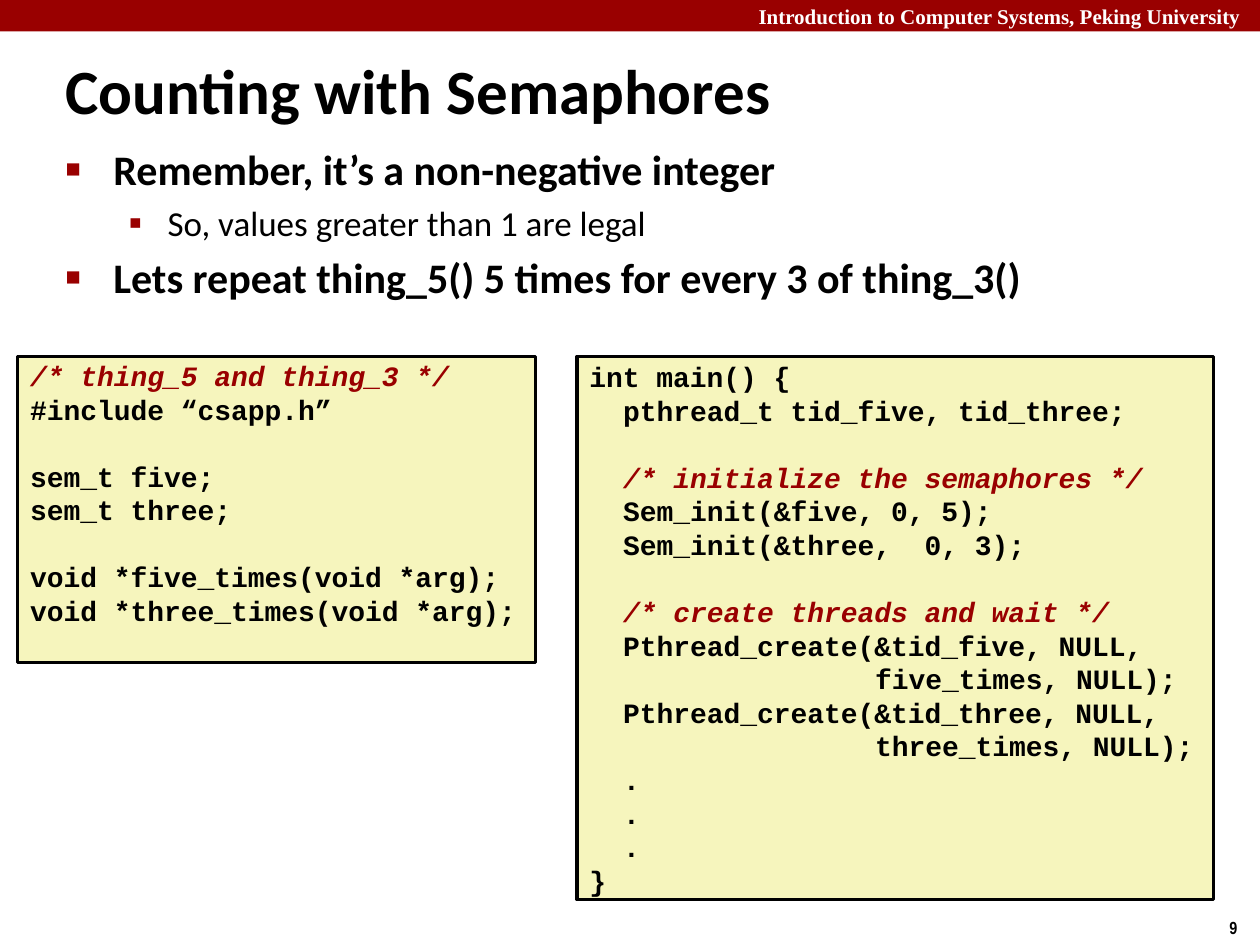
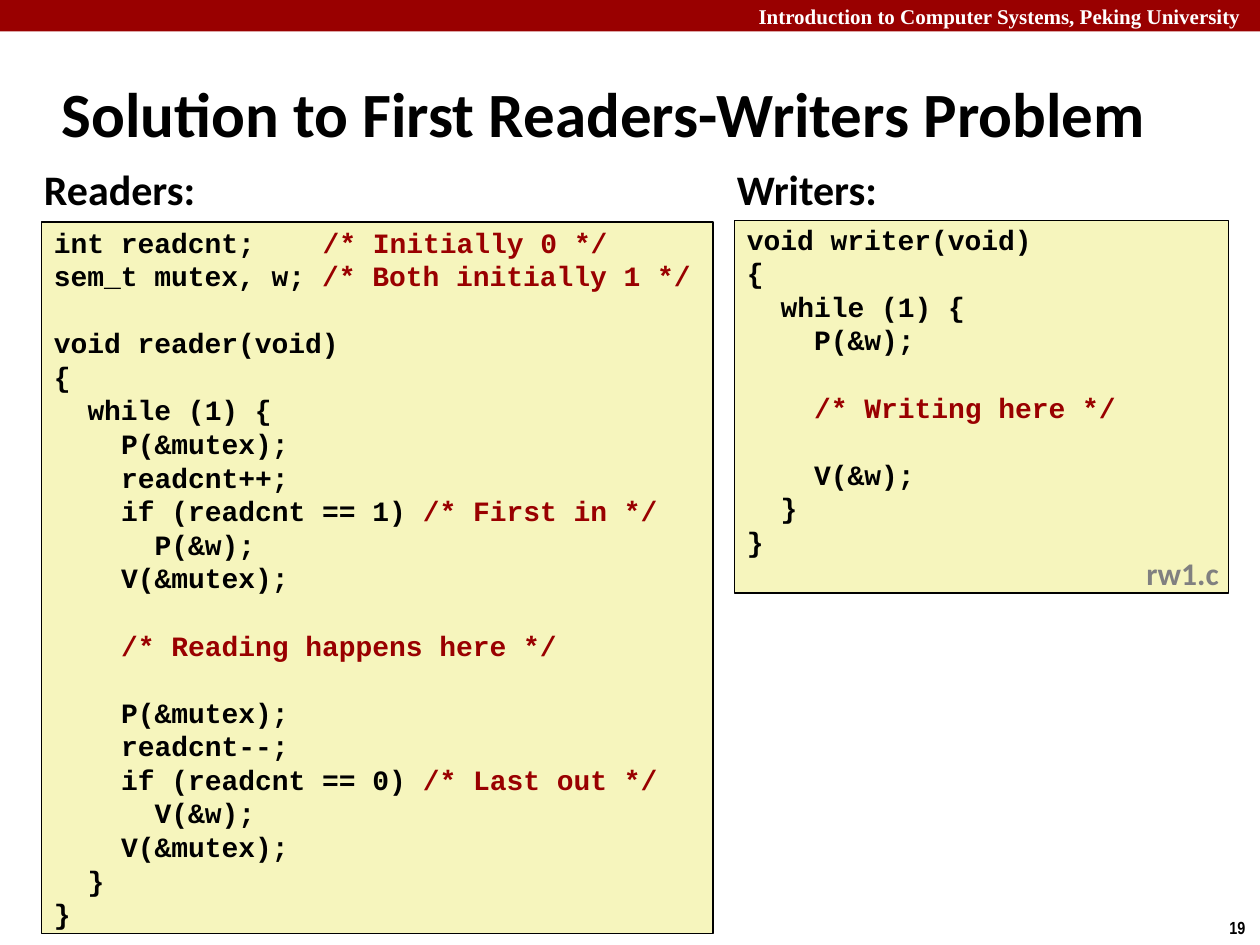
from dataclasses import dataclass

from lxml import etree
from pptx import Presentation
from pptx.dml.color import RGBColor
from pptx.enum.shapes import MSO_SHAPE
from pptx.enum.text import MSO_ANCHOR, MSO_AUTO_SIZE, PP_ALIGN
from pptx.oxml.ns import qn
from pptx.util import Emu, Inches, Pt

RECTANGLE = MSO_SHAPE.RECTANGLE
MIDDLE, TOP = MSO_ANCHOR.MIDDLE, MSO_ANCHOR.TOP
LEFT = PP_ALIGN.LEFT
NO_AUTOFIT = MSO_AUTO_SIZE.NONE

# Colours
CRIMSON = RGBColor(0x99, 0x00, 0x00)
CREAM = RGBColor(0xF6, 0xF5, 0xBD)
BLACK = RGBColor(0x00, 0x00, 0x00)
WHITE = RGBColor(0xFF, 0xFF, 0xFF)
GRAY = RGBColor(0x80, 0x80, 0x80)

# Slide grid: 100 columns by 75 rows
WIDTH, HEIGHT = Inches(10), Inches(7.5)
COLUMN, ROW = WIDTH / 100, HEIGHT / 75

# Code metrics
CODE_SIZE = 16
CODE_CHAR = Pt(CODE_SIZE * 0.6)
CODE_LINE = Pt(CODE_SIZE * 1.2)
TAB = chr(9)

# Text formats
TITLE = {"name": "Calibri", "size": Pt(36), "bold": True}
POINT = {"name": "Calibri", "size": Pt(24), "bold": True}
SUBPOINT = {"name": "Calibri", "size": Pt(20), "bold": False}
FILE_LABEL = {"name": "Calibri", "size": Pt(18), "bold": True}
COURSE = {"name": "Times New Roman", "size": Pt(12), "bold": True}
PAGE = {"name": "Arial Narrow", "size": Pt(10), "bold": True}
CODE = {"name": "Courier New", "size": Pt(CODE_SIZE), "bold": True}


@dataclass(frozen=True)
class Area:
    """A place on the grid, in columns and rows."""
    left: float
    top: float
    width: float
    height: float

    def emu(self) -> tuple[Emu, Emu, Emu, Emu]:
        return (Emu(round(self.left * COLUMN)), Emu(round(self.top * ROW)),
                Emu(round(self.width * COLUMN)), Emu(round(self.height * ROW)))


@dataclass(frozen=True)
class Listing:
    area: Area
    code: str
    border: float
    italic_comments: bool = False


@dataclass(frozen=True)
class Label:
    text: str
    area: Area
    style: dict
    color: RGBColor = BLACK


@dataclass(frozen=True)
class Bullet:
    char: str
    size: int
    margin: float
    hanging: float
    style: dict


BULLETS = (Bullet("■", 60, 0.38, 0.38, POINT), Bullet("▪", 110, 0.81, 0.31, SUBPOINT))


def set_format(target, values: dict) -> None:
    for key, value in values.items():
        setattr(target, key, value)


def add_run(paragraph, text: str, style: dict, color: RGBColor = BLACK):
    run = paragraph.add_run()
    run.text = text
    set_format(run.font, style)
    run.font.color.rgb = color
    return run


def add_label(slide, label: Label) -> None:
    box = slide.shapes.add_textbox(*label.area.emu())
    box.text_frame.word_wrap = False
    add_run(box.text_frame.paragraphs[0], label.text, label.style, label.color)


def add_rectangle(slide, area: Area, fill: RGBColor):
    rectangle = slide.shapes.add_shape(RECTANGLE, *area.emu())
    rectangle.shadow.inherit = False
    rectangle.fill.solid()
    rectangle.fill.fore_color.rgb = fill
    rectangle.line.fill.background()
    return rectangle


def add_frame(slide, page: str) -> None:
    """Course band and page number."""
    add_rectangle(slide, Area(0, 0, 100, 2.5), CRIMSON)
    course = slide.shapes.add_textbox(*Area(60.2, 0, 39.5, 2.5).emu())
    set_format(course.text_frame, {
        "word_wrap": True, "vertical_anchor": MIDDLE, "margin_left": 0,
        "margin_right": 0, "margin_top": 0, "margin_bottom": 0})
    add_run(course.text_frame.paragraphs[0],
            "Introduction to Computer Systems, Peking University", COURSE, WHITE)
    add_label(slide, Label(page, Area(96.6, 72.3, 3.4, 2.7), PAGE))


def place(placeholder, area: Area, anchor) -> None:
    names = ("left", "top", "width", "height")
    set_format(placeholder, dict(zip(names, area.emu())))
    set_format(placeholder.text_frame, {
        "vertical_anchor": anchor, "auto_size": NO_AUTOFIT, "word_wrap": True})


def set_title(slide, text: str, area: Area) -> None:
    title = slide.shapes.title
    place(title, area, MIDDLE)
    heading = title.text_frame.paragraphs[0]
    heading.alignment = LEFT
    add_run(heading, text, TITLE)


def set_bullet(paragraph, bullet: Bullet) -> None:
    props = paragraph._p.get_or_add_pPr()
    props.set("marL", str(Inches(bullet.margin)))
    props.set("indent", str(-Inches(bullet.hanging)))
    color = etree.SubElement(props, qn("a:buClr"))
    etree.SubElement(color, qn("a:srgbClr"), val=str(CRIMSON))
    etree.SubElement(props, qn("a:buSzPct"), val=str(bullet.size * 1000))
    etree.SubElement(props, qn("a:buChar"), char=bullet.char)


def set_points(slide, points: list[tuple[int, str]], area: Area) -> None:
    body = slide.placeholders[1]
    place(body, area, TOP)
    frame = body.text_frame
    for index, (level, text) in enumerate(points):
        point = frame.add_paragraph() if index else frame.paragraphs[0]
        point.level = level
        set_bullet(point, BULLETS[level])
        add_run(point, text, BULLETS[level].style)


def add_code_line(paragraph, line: str, blanks: int, italic: bool) -> None:
    """Leading spaces become a margin, blank lines become space before."""
    text = line.lstrip()
    code, mark, comment = text.partition("/*")
    set_format(paragraph, {"alignment": LEFT, "line_spacing": CODE_LINE,
                           "space_before": CODE_LINE * blanks})
    props = paragraph._p.get_or_add_pPr()
    props.set("marL", str((len(line) - len(text)) * CODE_CHAR))
    if code.endswith("  "):
        stops = etree.SubElement(props, qn("a:tabLst"))
        etree.SubElement(stops, qn("a:tab"), pos=str(len(code) * CODE_CHAR), algn="l")
        code = code.rstrip() + TAB
    if code:
        add_run(paragraph, code, CODE)
    if mark:
        add_run(paragraph, mark + comment, CODE | {"italic": italic}, CRIMSON)


def add_listing(slide, listing: Listing) -> None:
    panel = add_rectangle(slide, listing.area, CREAM)
    panel.line.color.rgb = BLACK
    panel.line.width = Pt(listing.border)
    frame = panel.text_frame
    blanks, started = 0, False
    for line in listing.code.splitlines():
        if not line:
            blanks += 1
            continue
        paragraph = frame.add_paragraph() if started else frame.paragraphs[0]
        add_code_line(paragraph, line, blanks, listing.italic_comments)
        blanks, started = 0, True
    set_format(frame, {"word_wrap": True, "vertical_anchor": MIDDLE,
                       "margin_top": 0, "margin_bottom": CODE_LINE * blanks})


# Code shown on the slides
DECLARATIONS = """/* thing_5 and thing_3 */
#include “csapp.h”

sem_t five;
sem_t three;

void *five_times(void *arg);
void *three_times(void *arg);

"""

MAIN = """int main() {
  pthread_t tid_five, tid_three;

  /* initialize the semaphores */
  Sem_init(&five, 0, 5);
  Sem_init(&three,  0, 3);

  /* create threads and wait */
  Pthread_create(&tid_five, NULL,
                 five_times, NULL);
  Pthread_create(&tid_three, NULL,
                 three_times, NULL);
  .
  .
  .
}"""

READER = """int readcnt;    /* Initially 0 */
sem_t mutex, w; /* Both initially 1 */

void reader(void)
{
  while (1) {
    P(&mutex);
    readcnt++;
    if (readcnt == 1) /* First in */
      P(&w);
    V(&mutex);

    /* Reading happens here */

    P(&mutex);
    readcnt--;
    if (readcnt == 0) /* Last out */
      V(&w);
    V(&mutex);
  }
}"""

WRITER = """void writer(void)
{
  while (1) {
    P(&w);

    /* Writing here */

    V(&w);
  }
}

"""


def build_counting(deck) -> None:
    slide = deck.slides.add_slide(deck.slide_layouts[1])
    add_frame(slide, "9")
    set_title(slide, "Counting with Semaphores", Area(4.2, 3.9, 80.3, 6.3))
    set_points(slide, [
        (0, "Remember, it’s a non-negative integer"),
        (1, "So, values greater than 1 are legal"),
        (0, "Lets repeat thing_5() 5 times for every 3 of thing_3()"),
    ], Area(4.2, 10.9, 93.5, 21.6))
    add_listing(slide, Listing(Area(1.4, 28.3, 41.1, 24.3), DECLARATIONS, 2, True))
    add_listing(slide, Listing(Area(45.8, 28.3, 50.5, 43.1), MAIN, 2, True))


def build_readers_writers(deck) -> None:
    slide = deck.slides.add_slide(deck.slide_layouts[5])
    add_frame(slide, "19")
    set_title(slide, "Solution to First Readers-Writers Problem",
              Area(3.9, 4.8, 93.6, 8.3))
    add_listing(slide, Listing(Area(3.3, 17.6, 53.3, 56.5), READER, 1))
    add_listing(slide, Listing(Area(58.3, 17.5, 39.2, 29.6), WRITER, 1))
    for label in (
        Label("Readers:", Area(2.5, 12.5, 14.1, 5), POINT),
        Label("Writers:", Area(57.5, 12.5, 13.2, 5), POINT),
        Label("rw1.c", Area(90, 43.5, 7.8, 4), FILE_LABEL, GRAY),
    ):
        add_label(slide, label)


def main() -> None:
    deck = Presentation()
    deck.slide_width, deck.slide_height = WIDTH, HEIGHT
    build_counting(deck)
    build_readers_writers(deck)
    deck.save("out.pptx")


if __name__ == "__main__":
    main()
